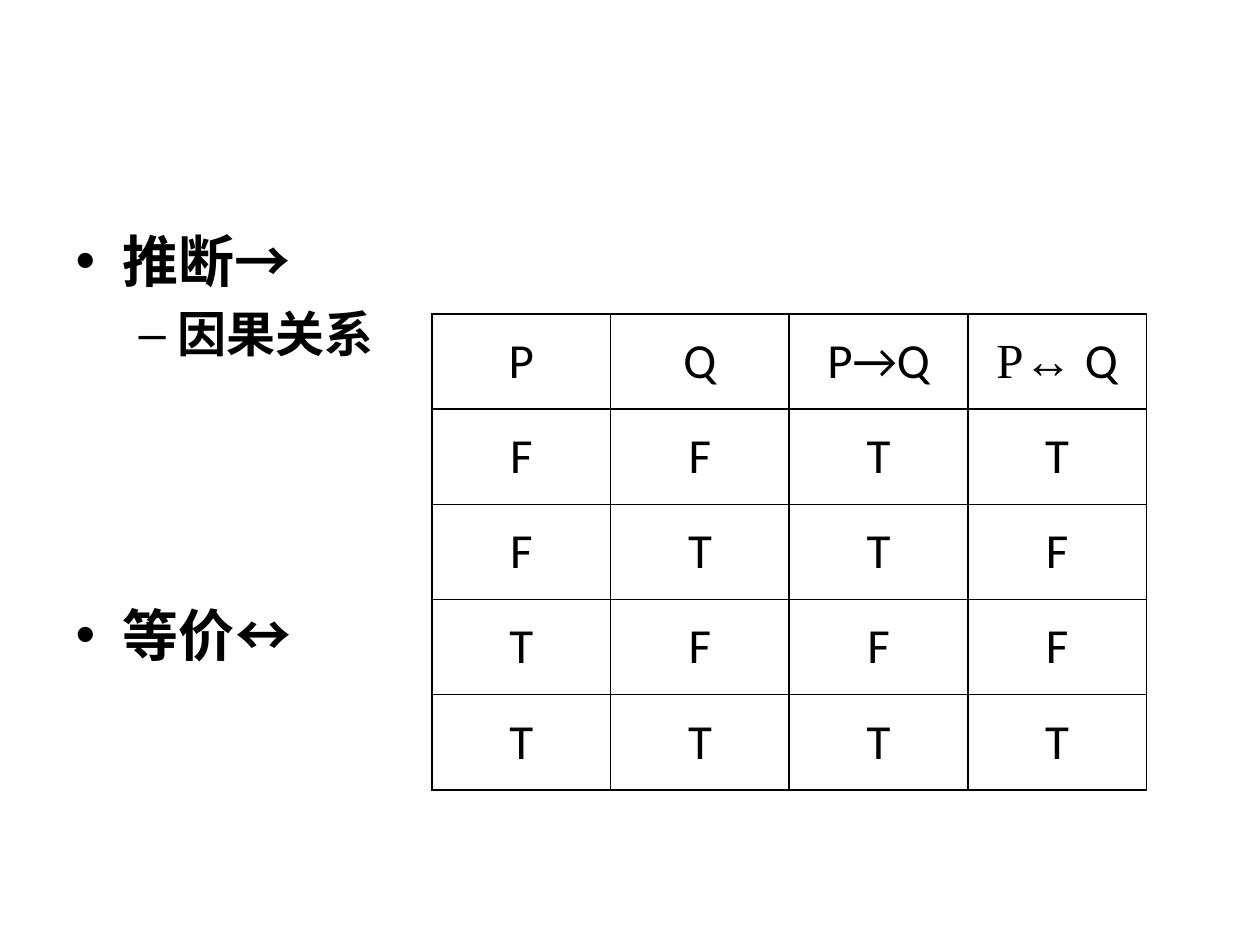
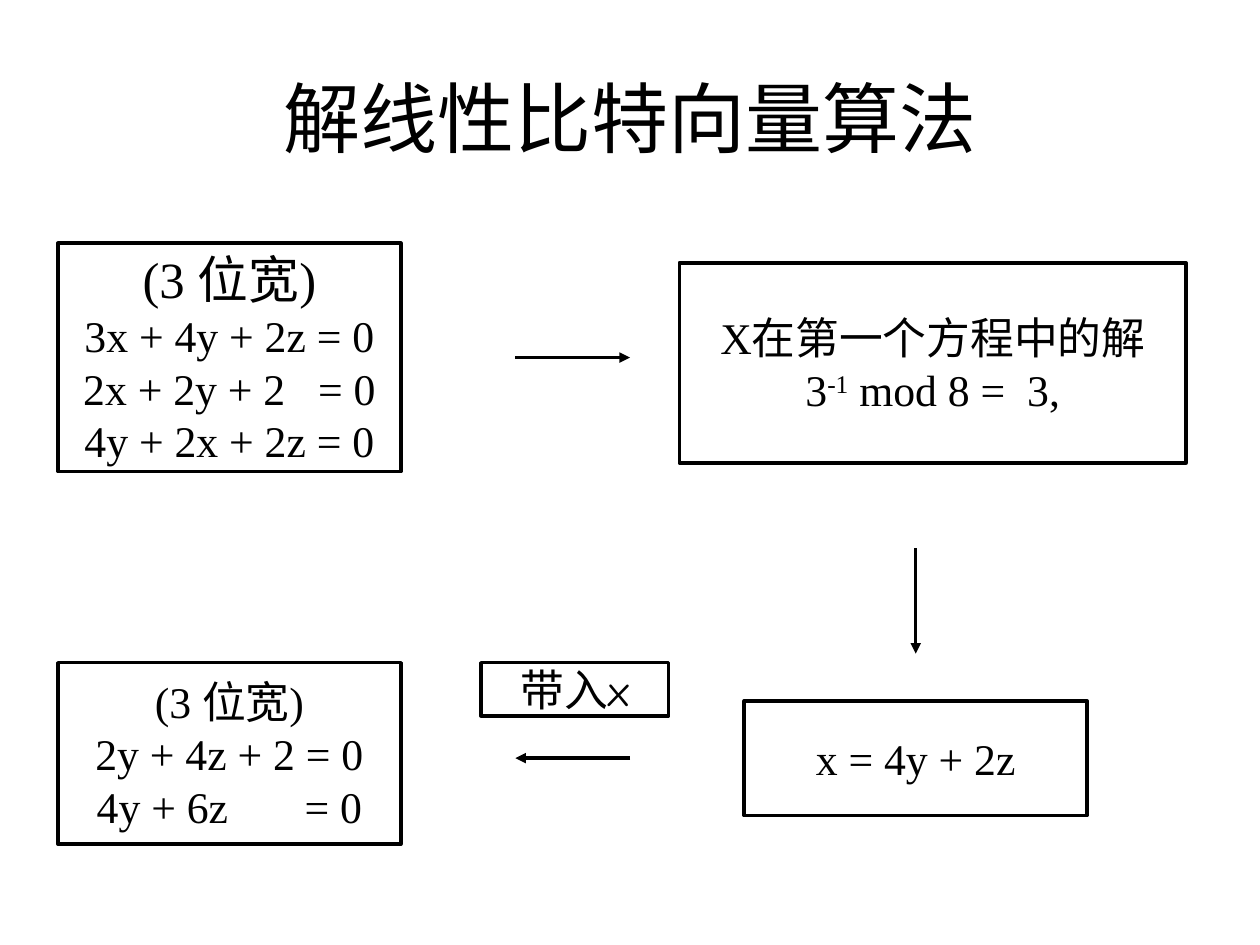
import dataclasses

import lxml.etree
import pptx
import pptx.dml.color
import pptx.enum.shapes
import pptx.enum.text
import pptx.oxml.ns
import pptx.util

Pt = pptx.util.Pt
qn = pptx.oxml.ns.qn
CENTER = pptx.enum.text.PP_ALIGN.CENTER
ANCHOR = pptx.enum.text.MSO_ANCHOR


@dataclasses.dataclass(frozen=True)
class Theme:
    ink: pptx.dml.color.RGBColor = pptx.dml.color.RGBColor(0, 0, 0)
    paper: pptx.dml.color.RGBColor = pptx.dml.color.RGBColor(255, 255, 255)
    sans: str = "Calibri"
    serif: str = "Times New Roman"
    comic: str = "Comic Neue"
    title: int = 44
    bullet: int = 32
    sub_bullet: int = 28
    cell: int = 28
    heading: int = 29
    formula: int = 25
    border: int = 1
    outline: int = 2


class Deck:
    def __init__(self, theme):
        self.theme = theme
        self.prs = pptx.Presentation()
        self.prs.slide_width, self.prs.slide_height = Pt(720), Pt(540)
        self.slide = None

    def new_slide(self, layout):
        self.slide = self.prs.slides.add_slide(self.prs.slide_layouts[layout])

    def run(self, p, text, size, font, bold=None, raised=False, gap=0):
        """Add one run; gap widens its characters by that many points."""
        r = p.add_run()
        r.text = text
        r.font.size, r.font.name, r.font.bold = Pt(size), font, bold
        r.font.color.rgb = self.theme.ink
        rPr = r._r.get_or_add_rPr()
        if raised:
            rPr.set("baseline", "30000")
        if gap:
            rPr.set("spc", str(round(gap * 100)))

    def place(self, sp, x, y, w, h):
        sp.left, sp.top, sp.width, sp.height = Pt(x), Pt(y), Pt(w), Pt(h)

    def title(self, text):
        sp = self.slide.shapes.title
        if not text:
            sp._element.getparent().remove(sp._element)
            return
        self.place(sp, 36, 21.6, 648, 90)
        tf = sp.text_frame
        tf.vertical_anchor = ANCHOR.MIDDLE
        p = tf.paragraphs[0]
        p.alignment = CENTER
        self.run(p, text, self.theme.title, self.theme.sans)

    def bullets(self, items):
        """Each item is (level, space before or None, [(text, font), ...])."""
        sp = self.slide.placeholders[1]
        self.place(sp, 36, 126, 648, 356.4)
        tf = sp.text_frame
        tf.auto_size = pptx.enum.text.MSO_AUTO_SIZE.NONE
        for i, (level, before, runs) in enumerate(items):
            p = tf.add_paragraph() if i else tf.paragraphs[0]
            p.level = level
            if before:
                p.space_before = Pt(before)
            size = self.theme.sub_bullet if level else self.theme.bullet
            for text, font in runs:
                self.run(p, text, size, font, bold=True)

    def cell_border(self, cell):
        tcPr = cell._tc.get_or_add_tcPr()
        for i, side in enumerate(("lnL", "lnR", "lnT", "lnB")):
            ln = lxml.etree.Element(qn("a:" + side), w=str(Pt(self.theme.border)))
            fill = lxml.etree.SubElement(ln, qn("a:solidFill"))
            lxml.etree.SubElement(fill, qn("a:srgbClr"), val=str(self.theme.ink))
            tcPr.insert(i, ln)

    def table(self, rows, x, y, w, h):
        """Each cell is a list of (text, font) runs."""
        frame = self.slide.shapes.add_table(
            len(rows), len(rows[0]), Pt(x), Pt(y), Pt(w), Pt(h))
        tbl = frame.table
        tbl.first_row = tbl.horz_banding = False
        for col in tbl.columns:
            col.width = Pt(w / len(rows[0]))
        for i, row in enumerate(rows):
            tbl.rows[i].height = Pt(h / len(rows))
            for j, runs in enumerate(row):
                cell = tbl.cell(i, j)
                cell.fill.background()
                cell.vertical_anchor = ANCHOR.MIDDLE
                self.cell_border(cell)
                p = cell.text_frame.paragraphs[0]
                p.alignment = CENTER
                for text, font in runs:
                    self.run(p, text, self.theme.cell, font)

    def box(self, x, y, w, h, lines, font=None, anchor=ANCHOR.MIDDLE):
        """Each line is a list of (text, run options)."""
        sp = self.slide.shapes.add_shape(
            pptx.enum.shapes.MSO_SHAPE.RECTANGLE, Pt(x), Pt(y), Pt(w), Pt(h))
        sp.shadow.inherit = False
        sp.fill.solid()
        sp.fill.fore_color.rgb = self.theme.paper
        sp.line.color.rgb = self.theme.ink
        sp.line.width = Pt(self.theme.outline)
        tf = sp.text_frame
        tf.margin_left = tf.margin_right = tf.margin_top = tf.margin_bottom = 0
        tf.word_wrap = False
        tf.vertical_anchor = anchor
        for i, line in enumerate(lines):
            p = tf.add_paragraph() if i else tf.paragraphs[0]
            p.alignment = CENTER
            for text, options in line:
                style = {"size": self.theme.formula,
                         "font": font or self.theme.serif, **options}
                self.run(p, text, **style)

    def arrow(self, x1, y1, x2, y2):
        cxn = self.slide.shapes.add_connector(
            pptx.enum.shapes.MSO_CONNECTOR.STRAIGHT, Pt(x1), Pt(y1), Pt(x2), Pt(y2))
        cxn.line.color.rgb = self.theme.ink
        cxn.line.width = Pt(self.theme.outline)
        lxml.etree.SubElement(cxn.line._get_or_add_ln(), qn("a:tailEnd"), type="triangle")
        lxml.etree.SubElement(cxn._element.spPr, qn("a:effectLst"))


theme = Theme()
deck = Deck(theme)

# Slide 1: implication and equivalence with their truth table
deck.new_slide(1)
deck.title(None)
deck.bullets([
    (0, None, [("推断→", theme.sans)]),
    (1, None, [("因果关系", theme.sans)]),
    (0, 136, [("等价", theme.sans), ("↔ ", theme.serif)]),
])
header = [[("P", theme.sans)], [("Q", theme.sans)], [("P→Q", theme.sans)],
          [("P↔ ", theme.serif), ("Q", theme.sans)]]
truth = [[[(value, theme.sans)] for value in row]
         for row in ("FFTT", "FTTF", "TFFF", "TTTT")]
deck.table([header] + truth, 246.9, 179.3, 408.3, 272.2)

# Slide 2: solving linear bit-vector equations
deck.new_slide(5)
deck.title("解线性比特向量算法")
LEFT, BOX_W, LOWER_Y = 33.1, 196, 378.7
ARROW_L, ARROW_R = 294.5, 360

# Starting system, first solution, substitution, reduced system
deck.box(LEFT, 139, BOX_W, 130.5, [
    [("(3 位宽)", {"size": theme.heading})],
    [("3x + 4y + 2z = 0", {})],
    [("2x + 2y + 2", {}), (" ", {"gap": 12.5}), ("= 0", {})],
    [("4y + 2x + 2z = 0", {})],
])
deck.arrow(ARROW_L, 204.3, ARROW_R, 204.3)
deck.box(388.2, 150.2, 289.5, 114.4, [
    [("X在第一个方程中的解", {})],
    [("3", {}), ("-1", {"raised": True}), (" mod 8 =", {}),
     (" ", {"gap": 6.25}), ("3,", {})],
])
deck.arrow(523.3, 313.4, 523.3, 373.5)
deck.box(425.3, 400.5, BOX_W, 65.5, [[("x = 4y + 2z", {})]])
deck.arrow(ARROW_R, 433.2, ARROW_L, 433.2)
deck.box(LEFT, LOWER_Y, BOX_W, 103.7, [
    [("(3 位宽)", {})],
    [("2y + 4z + 2 = 0", {})],
    [("4y + 6z", {}), (" ", {"gap": 37.5}), ("= 0", {})],
])
deck.box(274.8, LOWER_Y, 107.3, 30.4, [[("带入x", {})]], theme.comic, ANCHOR.TOP)

deck.prs.save("out.pptx")
